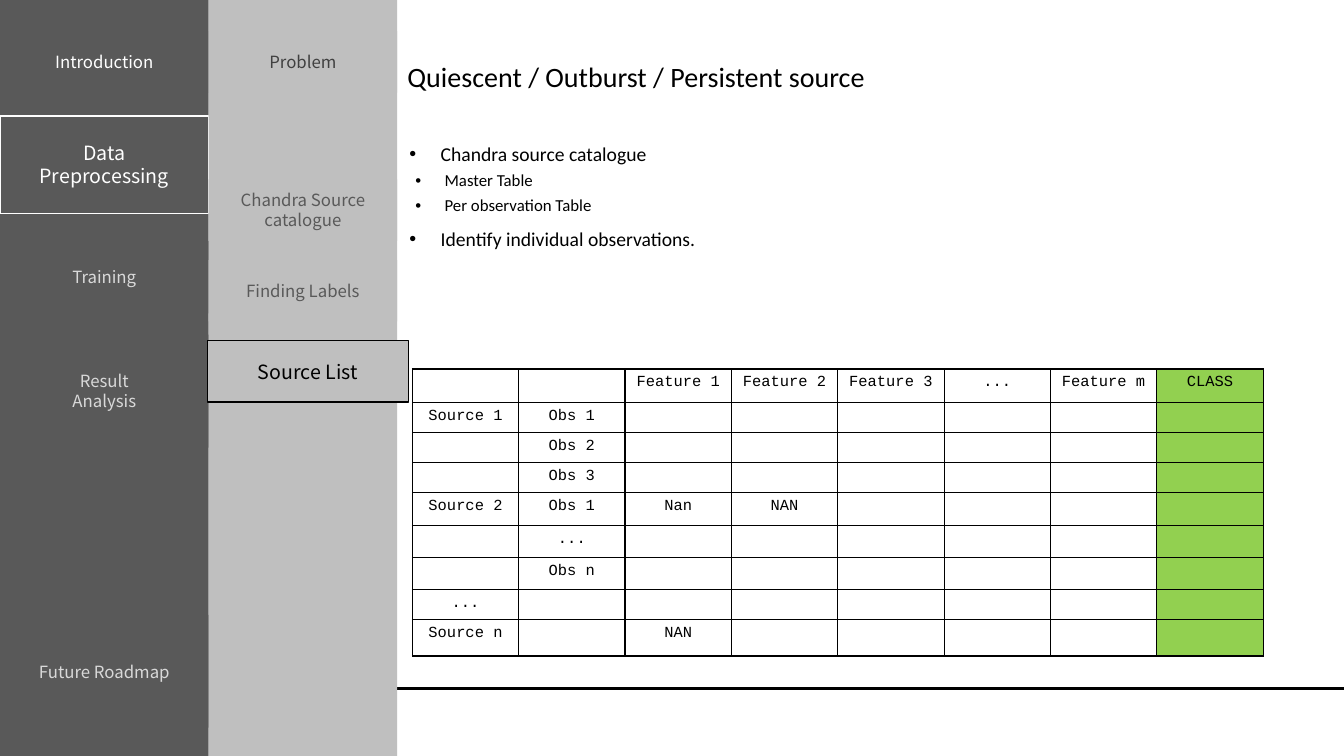
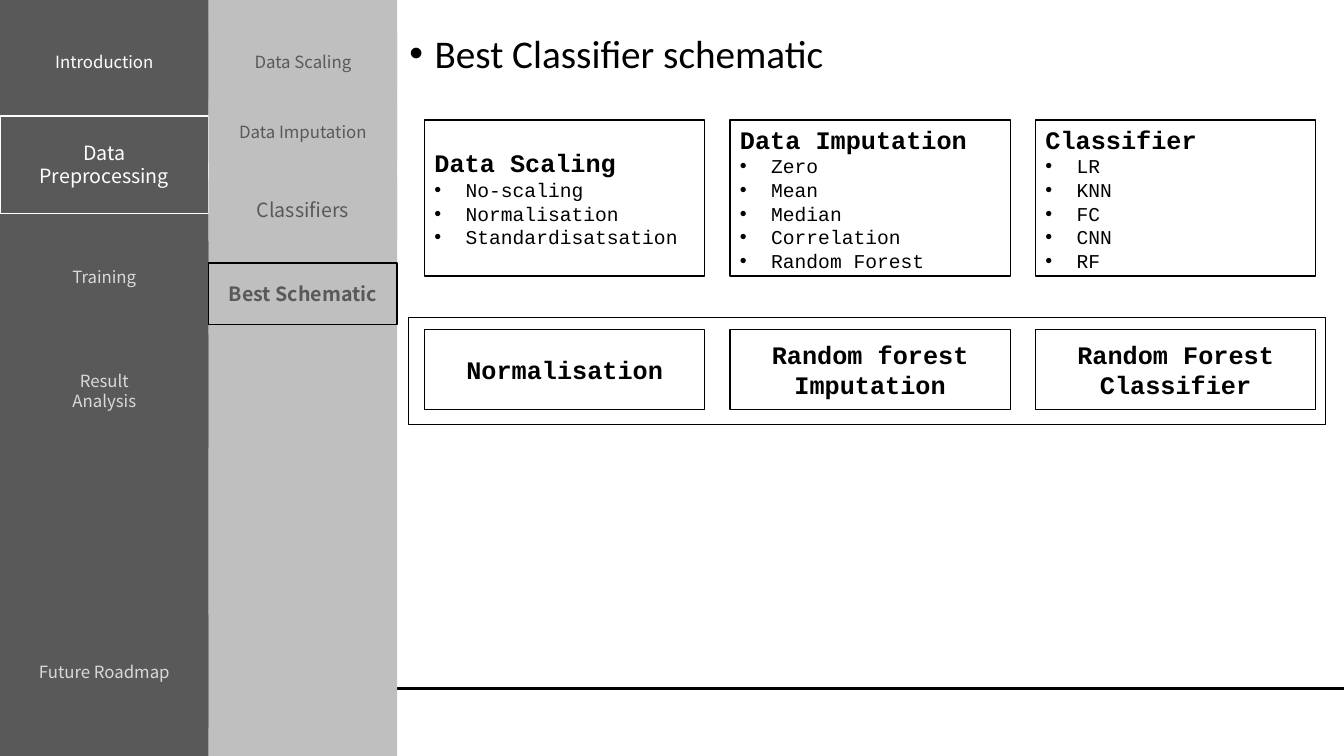
from dataclasses import dataclass

from lxml import etree
from pptx import Presentation
from pptx.dml.color import RGBColor
from pptx.enum.shapes import MSO_CONNECTOR, MSO_SHAPE
from pptx.enum.text import MSO_ANCHOR, MSO_AUTO_SIZE, PP_ALIGN
from pptx.oxml.ns import qn
from pptx.util import Inches, Pt

LEFT, CENTER = PP_ALIGN.LEFT, PP_ALIGN.CENTER
TOP, MIDDLE = MSO_ANCHOR.TOP, MSO_ANCHOR.MIDDLE
NO_AUTOFIT = MSO_AUTO_SIZE.NONE
RECTANGLE, STRAIGHT = MSO_SHAPE.RECTANGLE, MSO_CONNECTOR.STRAIGHT
TITLE_ONLY = 5


@dataclass(frozen=True)
class Theme:
    white: str = "FFFFFF"
    black: str = "000000"
    dark: str = "595959"
    mid: str = "BFBFBF"
    light: str = "D9D9D9"
    charcoal: str = "404040"
    green: str = "92D050"
    nav_font: str = "Noto Sans CJK JP"
    body_font: str = "Calibri"
    code_font: str = "Courier New"
    heading: int = 28
    title: int = 20
    card_title: int = 18
    active: int = 14
    small: int = 12
    cell: int = 11
    outline: float = 1
    rule: float = 1.5
    nav_leading: float = 1.18


@dataclass(frozen=True)
class Box:
    x: float
    y: float
    w: float
    h: float

    def inside(self, x, y, w, h):
        return Box(self.x + x, self.y + y, w, h)

    def emu(self):
        return [Inches(length) for length in (self.x, self.y, self.w, self.h)]


THEME = Theme()
SECTIONS = Box(0, 0, 2.07, 7.5)
TOPICS = Box(2.07, 0, 1.87, 7.5)
CONTENT = Box(3.94, 0, 9.39, 7.5)

SECTION_ENTRIES = [
    ("Introduction", 0.31, 0.61, THEME.white, False),
    ("Data\nPreprocessing", 1.15, 0.97, THEME.white, True),
    ("Training", 2.39, 0.72, THEME.light, False),
    ("Result\nAnalysis", 3.32, 1.12, THEME.light, False),
    ("Future Roadmap", 6.1, 1.12, THEME.light, False),
]

OBSERVATIONS = [
    ["", "", "Feature 1", "Feature 2", "Feature 3", "...", "Feature m", "CLASS"],
    ["Source 1", "Obs 1"],
    ["", "Obs 2"],
    ["", "Obs 3"],
    ["Source 2", "Obs 1", "Nan", "NAN"],
    ["", "..."],
    ["", "Obs n"],
    ["..."],
    ["Source n", "", "NAN"],
]
ROW_HEIGHTS = [0.33, 0.3, 0.3, 0.3, 0.32, 0.32, 0.32, 0.3, 0.36]

OPTIONS = [
    ("Data Scaling", ["No-scaling", "Normalisation", "Standardisatsation"]),
    ("Data Imputation", ["Zero", "Mean", "Median", "Correlation", "Random Forest"]),
    ("Classifier", ["LR", "KNN", "FC", "CNN", "RF"]),
]
BEST = ["Normalisation", "Random forest Imputation", "Random Forest Classifier"]


def rgb(color):
    return RGBColor.from_string(color)


def style(paragraph, font, size, color=THEME.black, bold=False, align=LEFT):
    paragraph.alignment = align
    for run in paragraph.runs:
        run.font.name = font
        run.font.size = Pt(size)
        run.font.bold = bold
        run.font.color.rgb = rgb(color)


def add_bullet(paragraph, margin, hanging):
    properties = paragraph._p.get_or_add_pPr()
    properties.set("marL", str(Inches(margin)))
    properties.set("indent", str(-Inches(hanging)))
    etree.SubElement(properties, qn("a:buFont")).set("typeface", "Arial")
    etree.SubElement(properties, qn("a:buChar")).set("char", "•")


def add_panel(slide, box, fill=None, line=None):
    panel = slide.shapes.add_shape(RECTANGLE, *box.emu())
    panel.shadow.inherit = False
    if fill:
        panel.fill.solid()
        panel.fill.fore_color.rgb = rgb(fill)
    else:
        panel.fill.background()
    if line:
        panel.line.color.rgb = rgb(line)
        panel.line.width = Pt(THEME.outline)
    else:
        panel.line.fill.background()
    panel.text_frame.word_wrap = True
    panel.text_frame.vertical_anchor = MIDDLE
    return panel


def add_nav_entry(slide, box, label, size, color, fill, line=None, bold=False):
    frame = add_panel(slide, box, fill, line).text_frame
    frame.text = label
    for paragraph in frame.paragraphs:
        style(paragraph, THEME.nav_font, size, color, bold, CENTER)
        if len(frame.paragraphs) > 1:
            paragraph.line_spacing = Pt(size * THEME.nav_leading)


def add_sections(slide, box):
    add_panel(slide, box, THEME.dark)
    for label, top, height, color, current in SECTION_ENTRIES:
        add_nav_entry(slide, box.inside(0, top, box.w, height), label,
                      THEME.active if current else THEME.small, color,
                      THEME.dark, THEME.white if current else None)


def add_topics(slide, box, entries, current, current_box, color, bold):
    add_panel(slide, box, THEME.mid)
    for label, top, size, entry_color in entries:
        add_nav_entry(slide, box.inside(0, top, box.w, 0.61), label, size,
                      entry_color, THEME.mid)
    add_nav_entry(slide, current_box, current, THEME.active, color,
                  THEME.mid, THEME.black, bold)


def add_footer_rule(slide, box):
    y = Inches(box.y + 6.83)
    rule = slide.shapes.add_connector(
        STRAIGHT, Inches(box.x), y, Inches(box.x + box.w), y)
    rule.line.color.rgb = rgb(THEME.black)
    rule.line.width = Pt(THEME.rule)
    etree.SubElement(rule._element.spPr, qn("a:effectLst"))


def set_title(slide, box, text, size, anchor):
    title = slide.shapes.title
    title.left, title.top, title.width, title.height = box.emu()
    frame = title.text_frame
    frame.text = text
    frame.word_wrap = True
    frame.auto_size = NO_AUTOFIT
    frame.vertical_anchor = anchor
    paragraph = frame.paragraphs[0]
    paragraph.line_spacing = 0.9
    style(paragraph, THEME.body_font, size)
    return title


def add_bullets(slide, box, items):
    frame = slide.shapes.add_textbox(*box.emu()).text_frame
    frame.word_wrap = True
    frame.margin_left = frame.margin_top = frame.margin_right = Inches(0.12)
    frame.text = "\n".join(text for text, _ in items)
    for paragraph, (_, level) in zip(frame.paragraphs, items):
        paragraph.level = level
        paragraph.line_spacing = 0.9
        paragraph.space_before = Pt(5 if level else 10)
        style(paragraph, THEME.body_font, THEME.small if level else THEME.active)
        add_bullet(paragraph, *((0.35, 0.29) if level else (0.31, 0.31)))


def add_cell_borders(cell):
    properties = cell._tc.get_or_add_tcPr()
    for position, side in enumerate(("a:lnL", "a:lnR", "a:lnT", "a:lnB")):
        border = etree.Element(qn(side), w=str(Pt(THEME.outline)))
        fill = etree.SubElement(border, qn("a:solidFill"))
        etree.SubElement(fill, qn("a:srgbClr")).set("val", THEME.black)
        properties.insert(position, border)


def add_observation_table(slide, box):
    header = OBSERVATIONS[0]
    table = slide.shapes.add_table(
        len(OBSERVATIONS), len(header), *box.emu()).table
    table.first_row = table.horz_banding = False
    for column in table.columns:
        column.width = Inches(box.w / len(header))
    for row, height, values in zip(table.rows, ROW_HEIGHTS, OBSERVATIONS):
        row.height = Inches(height)
        padded = values + [""] * (len(header) - len(values))
        for cell, value, heading in zip(row.cells, padded, header):
            cell.fill.solid()
            cell.fill.fore_color.rgb = rgb(
                THEME.green if heading == "CLASS" else THEME.white)
            add_cell_borders(cell)
            paragraph = cell.text_frame.paragraphs[0]
            if value:
                paragraph.text = value
            else:
                ending = paragraph._p.get_or_add_endParaRPr()
                ending.set("sz", str(THEME.cell * 100))
            style(paragraph, THEME.code_font, THEME.cell, align=CENTER)


def add_card(slide, box, heading, choices=(), align=LEFT):
    frame = add_panel(slide, box, line=THEME.black).text_frame
    frame.text = "\n".join([heading, *choices])
    title, *bullets = frame.paragraphs
    style(title, THEME.code_font, THEME.card_title, bold=True, align=align)
    for bullet in bullets:
        style(bullet, THEME.code_font, THEME.active)
        add_bullet(bullet, 0.31, 0.31)


def add_schematic(slide, box):
    add_panel(slide, box.inside(0, 1.96, box.w, 1.06), line=THEME.black)
    for index, ((heading, choices), best) in enumerate(zip(OPTIONS, BEST)):
        left = 0.16 + index * 3.03
        add_card(slide, box.inside(left, 0, 2.78, 1.55), heading, choices)
        add_card(slide, box.inside(left, 2.08, 2.78, 0.79), best, align=CENTER)


def add_slide(deck):
    slide = deck.slides.add_slide(deck.slide_layouts[TITLE_ONLY])
    add_sections(slide, SECTIONS)
    add_footer_rule(slide, CONTENT)
    return slide


def build_source_list(deck):
    slide = add_slide(deck)
    set_title(slide, CONTENT.inside(0, 0.48, 7.75, 0.59),
              "Quiescent / Outburst / Persistent source", THEME.title, MIDDLE)
    add_bullets(slide, CONTENT.inside(0, 1.31, 7.75, 2.2), [
        ("Chandra source catalogue", 0),
        ("Master Table", 1),
        ("Per observation Table", 1),
        ("Identify individual observations.", 0),
    ])
    add_observation_table(slide, CONTENT.inside(0.15, 3.66, 8.44, 2.85))
    add_topics(slide, TOPICS, [
        ("Problem", 0.31, THEME.small, THEME.charcoal),
        ("Chandra Source\ncatalogue", 1.78, THEME.small, THEME.dark),
        ("Finding Labels", 2.58, THEME.small, THEME.dark),
    ], "Source List", TOPICS.inside(-0.01, 3.38, 1.99, 0.61), THEME.black, False)


def build_best_schematic(deck):
    slide = add_slide(deck)
    title = set_title(slide, CONTENT.inside(0, 0.22, 7.58, 0.58),
                      "Best Classifier schematic", THEME.heading, TOP)
    title.text_frame.margin_left = title.text_frame.margin_top = Inches(0.12)
    add_bullet(title.text_frame.paragraphs[0], 0.25, 0.25)
    add_topics(slide, TOPICS, [
        ("Data Scaling", 0.31, THEME.small, THEME.dark),
        ("Data Imputation", 1, THEME.small, THEME.dark),
        ("Classifiers", 1.78, THEME.active, THEME.dark),
    ], "Best Schematic", TOPICS.inside(0, 2.61, 1.87, 0.61), THEME.dark, True)
    add_schematic(slide, CONTENT.inside(0.11, 1.19, 9.1, 3.02))


def main():
    deck = Presentation()
    deck.slide_width, deck.slide_height = Inches(13.33), Inches(7.5)
    build_source_list(deck)
    build_best_schematic(deck)
    deck.save("out.pptx")


if __name__ == "__main__":
    main()
